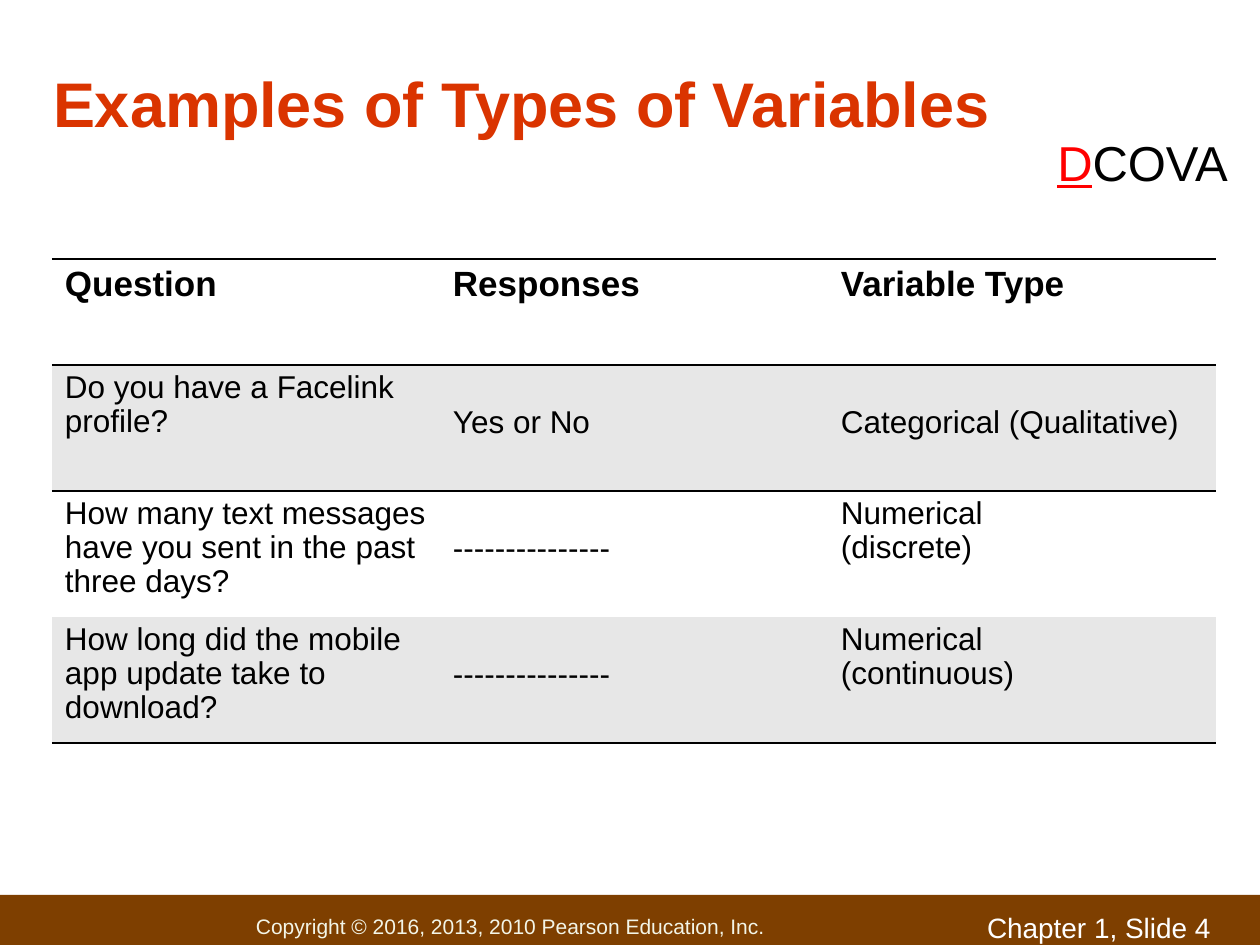
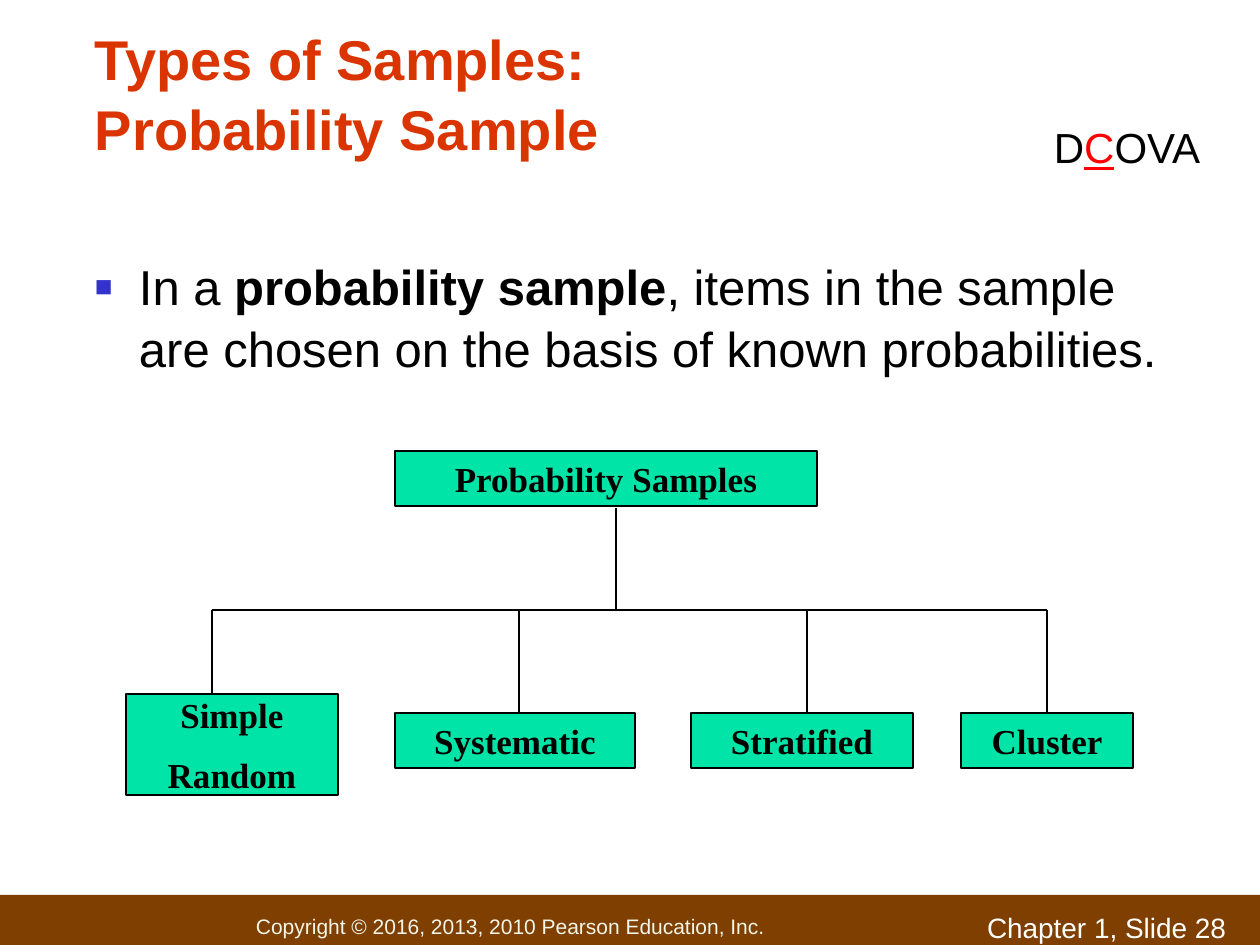
"""Build two statistics slides: variable types in a table and a tree of probability samples."""
import pptx
import pptx.util
import pptx.dml.color
import pptx.enum.shapes
import pptx.enum.text
import pptx.oxml.ns
import lxml.etree

ANCHOR = pptx.enum.text.MSO_ANCHOR
ALIGN = pptx.enum.text.PP_ALIGN
RECTANGLE = pptx.enum.shapes.MSO_SHAPE.RECTANGLE
STRAIGHT = pptx.enum.shapes.MSO_CONNECTOR.STRAIGHT

BLACK, WHITE, RED = "000000", "FFFFFF", "FF0000"
TITLE_RED, BROWN, CREAM = "DA3400", "7E3F00", "F3F5E7"
STRIPE, GREEN, BULLET_BLUE = "E7E7E7", "00E4A8", "3333CC"
SANS, SERIF = "Arial", "Times New Roman"
NO_GRID_STYLE = "{2D5ABB26-0587-4C30-8999-92F81FD0307C}"
SLIDE_SIZE = (1260, 945)
BAND_TOP = 895
COPYRIGHT = "Copyright © 2016, 2013, 2010 Pearson Education, Inc."
INSETS = (13, 6, 13, 6)
TITLE_INSETS = (11, 6, 11, 6)

VARIABLES = {
    "title": "Examples of Types of Variables", "title_size": 36,
    "title_place": (42, 10, 1017, 136), "number": 4,
    "steps": ("", "D", "COVA"), "steps_size": 28,
    "steps_place": (1043, 126, 199, 72),
}
HEADINGS = ("Question", "Responses", "Variable Type")
EXAMPLES = (
    ("Do you have a Facelink profile?", "Yes or No", "Categorical (Qualitative)"),
    ("How many text messages have you sent in the past three days?",
     "---------------", "Numerical\n(discrete)"),
    ("How long did the mobile app update take to download?",
     "---------------", "Numerical\n(continuous)"),
)
TABLE_LEFT, TABLE_TOP, COLUMN_WIDTH = 52, 259, 388
HEADING_HEIGHT, ROW_HEIGHT = 106, 126
CELL_TOP, LOWERED_TOP = 6, 41
LOWERED = ("Yes or No", "Categorical (Qualitative)", "---------------")

SAMPLES = {
    "title": "Types of Samples:\vProbability Sample", "title_size": 32,
    "title_place": (84, 32, 1092, 136), "number": 28,
    "steps": ("D", "C", "OVA"), "steps_size": 24,
    "steps_place": (1040, 116, 174, 63),
}
DEFINITION = (
    ("In a ", {}),
    ("probability sample", {"bold": True}),
    (", items in the sample are chosen on the basis of known probabilities.", {}),
)
DEFINITION_PLACE = (84, 248, 1092, 151)
BULLET_INDENT = 44
ROOT = ("Probability Samples", (395, 451, 422, 55))
KINDS = (
    ("Simple\nRandom", (126, 694, 212, 101), 212),
    ("Systematic", (395, 713, 240, 55), 519),
    ("Stratified", (691, 713, 222, 55), 807),
    ("Cluster", (961, 713, 172, 55), 1047),
)
TRUNK_X, TRUNK_TOP, BUS_Y = 616, 508, 610


def px(length):
    return round(length * 914400 / 126)


def color(code):
    return pptx.dml.color.RGBColor.from_string(code)


def set_all(target, formats):
    for name, value in formats.items():
        setattr(target, name, value)


def style_font(font, size, code, name=SANS, **extra):
    set_all(font, {"size": pptx.util.Pt(size), "name": name, **extra})
    font.color.rgb = color(code)


def set_insets(target, insets):
    sides = ("margin_left", "margin_top", "margin_right", "margin_bottom")
    set_all(target, dict(zip(sides, map(px, insets))))


def set_frame(frame, insets=INSETS, anchor=ANCHOR.TOP, wrap=True):
    set_insets(frame, insets)
    set_all(frame, {"vertical_anchor": anchor, "word_wrap": wrap,
                    "auto_size": pptx.enum.text.MSO_AUTO_SIZE.NONE})


def write(frame, text, size, code, align=ALIGN.LEFT, name=SANS, gap=0, spacing=1.0, **extra):
    frame.text = text
    for index, para in enumerate(frame.paragraphs):
        set_all(para, {"alignment": align, "line_spacing": spacing})
        if index and gap:
            para.space_before = pptx.util.Pt(gap)
        for span in para.runs:
            style_font(span.font, size, code, name, **extra)


def add_box(page, place, fill, line=None):
    box = page.shapes.add_shape(RECTANGLE, *map(px, place))
    box.shadow.inherit = False
    box.fill.solid()
    box.fill.fore_color.rgb = color(fill)
    if line:
        box.line.color.rgb = color(line)
        box.line.width = pptx.util.Pt(1)
    else:
        box.line.fill.background()
    return box


def add_textbox(page, place, **frame_formats):
    frame = page.shapes.add_textbox(*map(px, place)).text_frame
    set_frame(frame, **frame_formats)
    return frame


def add_spans(para, spans, size):
    for text, formats in spans:
        if text:
            span = para.add_run()
            span.text = text
            style_font(span.font, size, **{"code": BLACK, **formats})


def add_page(deck, content):
    page = deck.slides.add_slide(deck.slide_layouts[5])
    band = add_box(page, (0, BAND_TOP, SLIDE_SIZE[0], SLIDE_SIZE[1] - BAND_TOP), BROWN)
    set_frame(band.text_frame, (256, 13, 0, 0), ANCHOR.MIDDLE, False)
    write(band.text_frame, COPYRIGHT, 12, CREAM)
    number = add_textbox(page, (974, 905, 286, 33))
    write(number, f"Chapter 1, Slide {content['number']}", 16, WHITE)

    title = page.shapes.title
    set_all(title, dict(zip(("left", "top", "width", "height"),
                            map(px, content["title_place"]))))
    set_frame(title.text_frame, TITLE_INSETS, ANCHOR.BOTTOM)
    write(title.text_frame, content["title"], content["title_size"], TITLE_RED,
          spacing=1.05, bold=True)

    steps = add_textbox(page, content["steps_place"], wrap=False).paragraphs[0]
    steps.alignment = ALIGN.CENTER
    before, current, after = content["steps"]
    spans = ((before, {}), (current, {"code": RED, "underline": True}), (after, {}))
    add_spans(steps, spans, content["steps_size"])
    return page


def add_child(parent, tag, **attributes):
    return lxml.etree.SubElement(parent, pptx.oxml.ns.qn(tag), **attributes)


def add_borders(cell, sides):
    properties = cell._tc.get_or_add_tcPr()
    for position, side in enumerate(sides):
        border = lxml.etree.Element(pptx.oxml.ns.qn(f"a:{side}"), w="12700")
        add_child(add_child(border, "a:solidFill"), "a:srgbClr", val=BLACK)
        properties.insert(position, border)


def add_variable_table(page):
    rows = (HEADINGS, *EXAMPLES)
    heights = [HEADING_HEIGHT] + [ROW_HEIGHT] * len(EXAMPLES)
    place = (TABLE_LEFT, TABLE_TOP, COLUMN_WIDTH * len(HEADINGS), sum(heights))
    table = page.shapes.add_table(len(rows), len(HEADINGS), *map(px, place)).table
    table.horz_banding = False
    table._tbl.tblPr.find(pptx.oxml.ns.qn("a:tableStyleId")).text = NO_GRID_STYLE
    for column in table.columns:
        column.width = px(COLUMN_WIDTH)
    borders = {0: ("lnT", "lnB"), 1: ("lnT",), len(rows) - 1: ("lnB",)}
    for row, texts in enumerate(rows):
        table.rows[row].height = px(heights[row])
        for column, text in enumerate(texts):
            cell = table.cell(row, column)
            set_insets(cell, (13, LOWERED_TOP if text in LOWERED else CELL_TOP, 13, 6))
            cell.fill.solid()
            cell.fill.fore_color.rgb = color(STRIPE if row % 2 else WHITE)
            add_borders(cell, borders.get(row, ()))
            heading = row == 0
            write(cell.text_frame, text, 20 if heading else 18, BLACK,
                  spacing=1.0 if heading else 0.97, bold=heading)


def add_definition(page):
    para = add_textbox(page, DEFINITION_PLACE, insets=TITLE_INSETS).paragraphs[0]
    para.line_spacing = 1.05
    properties = para._p.get_or_add_pPr()
    set_all_indents = {"marL": px(BULLET_INDENT), "indent": -px(BULLET_INDENT)}
    for name, value in set_all_indents.items():
        properties.set(name, str(value))
    add_child(add_child(properties, "a:buClr"), "a:srgbClr", val=BULLET_BLUE)
    add_child(properties, "a:buSzPct", val="60000")
    add_child(properties, "a:buFont", typeface=SANS)
    add_child(properties, "a:buChar", char="■")
    add_spans(para, DEFINITION, 28)


def add_line(page, *ends):
    line = page.shapes.add_connector(STRAIGHT, *map(px, ends))
    line.line.color.rgb = color(BLACK)
    line.line.width = pptx.util.Pt(1)
    add_child(line._element.spPr, "a:effectLst")
    return line


def add_sample_box(page, text, place):
    box = add_box(page, place, GREEN, BLACK)
    set_frame(box.text_frame, (13, 0, 13, 0), ANCHOR.MIDDLE)
    write(box.text_frame, text, 20, BLACK, ALIGN.CENTER, SERIF, gap=10, bold=True)
    return box


def add_sample_tree(page):
    add_line(page, TRUNK_X, TRUNK_TOP, TRUNK_X, BUS_Y)
    add_line(page, KINDS[0][2], BUS_Y, KINDS[-1][2], BUS_Y)
    add_sample_box(page, *ROOT)
    for text, place, branch_x in KINDS:
        left, top, width, _ = place
        box = add_sample_box(page, text, place)
        branch = add_line(page, branch_x, BUS_Y, branch_x, top)
        if branch_x == left + width / 2:
            branch.end_connect(box, 0)


def main():
    deck = pptx.Presentation()
    deck.slide_width, deck.slide_height = map(px, SLIDE_SIZE)
    add_variable_table(add_page(deck, VARIABLES))
    page = add_page(deck, SAMPLES)
    add_definition(page)
    add_sample_tree(page)
    deck.save("out.pptx")


if __name__ == "__main__":
    main()
